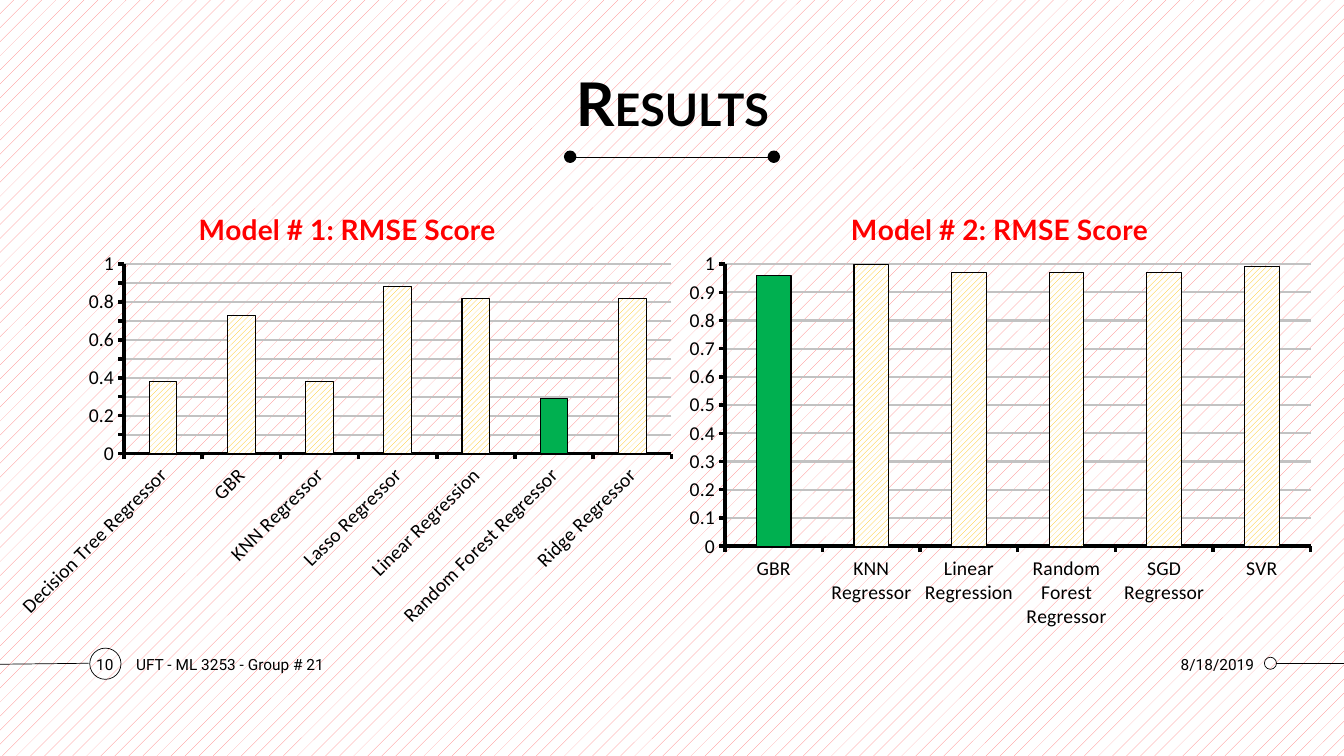
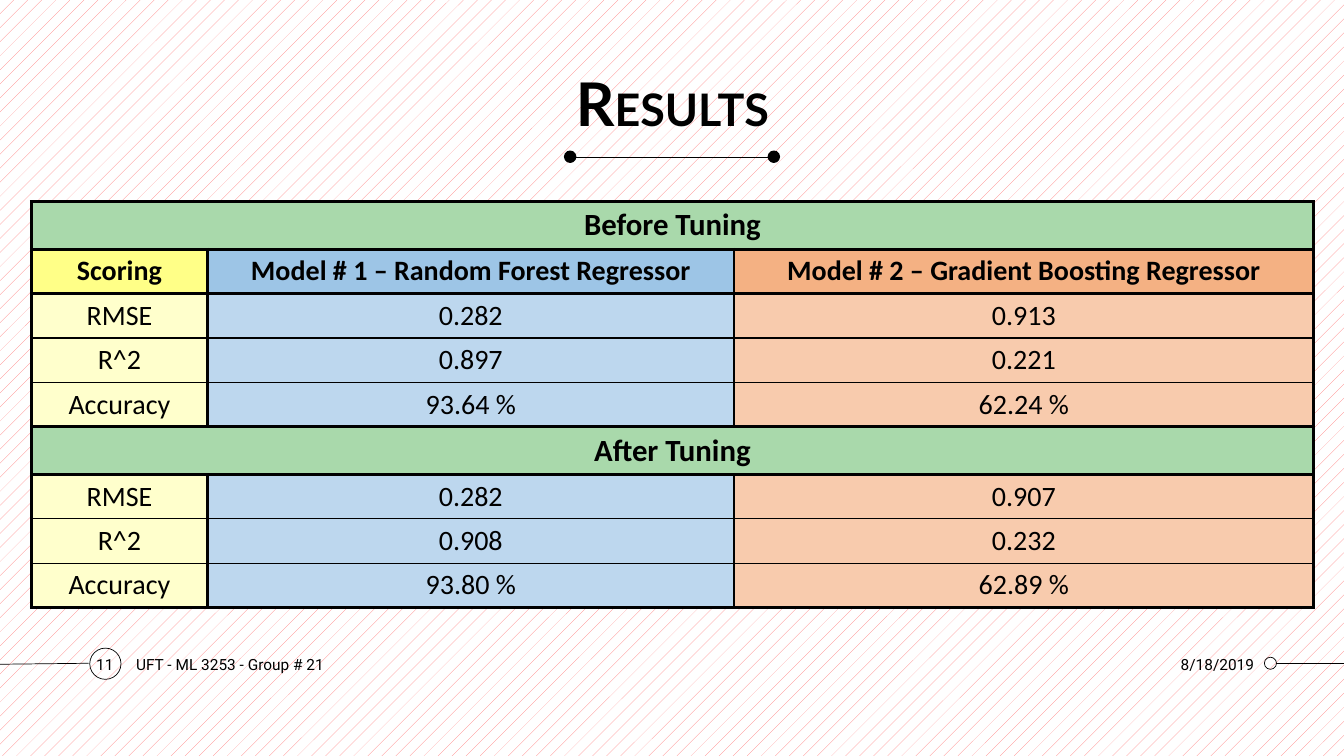
from copy import deepcopy
from dataclasses import dataclass

from lxml import etree
from pptx import Presentation
from pptx.chart.data import CategoryChartData
from pptx.dml.color import RGBColor
from pptx.enum import chart as charts, dml, shapes, text
from pptx.oxml import ns
from pptx.util import Inches, Pt


@dataclass(frozen=True)
class Theme:
    ink: str = "000000"
    paper: str = "FFFFFF"
    hatch: str = "FF7979"
    heading: str = "FF0000"
    grid: str = "C2C2C2"
    bar: str = "FFC000"
    best: str = "00B050"
    band: str = "A9D9AB"
    head_fills: tuple = ("FFFF87", "9DC5E6", "F4B183")
    body_fills: tuple = ("FFFFCC", "BDD7EE", "F8CBAD")
    title_font: str = "Lato"
    body_font: str = "Calibri"
    footer_font: str = "Roboto"
    title_cap: int = 43
    title_size: int = 32
    chart_title: int = 20
    axis_size: int = 14
    band_size: int = 22
    cell_size: int = 20
    footer_size: int = 11
    thick: float = 2.25
    thin: float = 1


THEME = Theme()
ALIGN = text.PP_ALIGN
HOLDER = shapes.PP_PLACEHOLDER

TITLE = [("R", THEME.title_cap), ("ESULTS", THEME.title_size)]
TITLE_BOX = (4.23, 0.62, 4.88, 0.76)
FIRST_NUMBER = 10
FOOTERS = {
    HOLDER.DATE: ("8/18/2019", (9.54, 6.39, 3, 0.4), ALIGN.RIGHT),
    HOLDER.FOOTER: ("UFT - ML 3253 - Group # 21", (1.25, 6.39, 4.5, 0.4), ALIGN.LEFT),
    HOLDER.SLIDE_NUMBER: (None, (0.83, 6.39, 0.42, 0.4), ALIGN.CENTER),
}
RULES = [(12.66, 6.58, 13.33, 6.58), (0, 6.59, 0.88, 6.58), (5.6, 1.56, 7.67, 1.56)]
RINGS = [(0.89, 6.43, 0.31), (12.54, 6.52, 0.12)]
DOTS = [(7.62, 1.5, 0.11), (5.6, 1.5, 0.11)]

CHARTS = [
    dict(
        title="Model # 1: RMSE Score", title_at=(1.92, 2.02),
        box=(0.04, 1.82, 6.75, 4.5), plot=(1.23, 2.62, 5.43, 1.88),
        best="Random Forest Regressor", turn=-45,
        scores={
            "Decision Tree Regressor": 0.38, "GBR": 0.73, "KNN Regressor": 0.38,
            "Lasso Regressor": 0.88, "Linear Regression": 0.82,
            "Random Forest Regressor": 0.29, "Ridge Regressor": 0.82,
        },
    ),
    dict(
        title="Model # 2: RMSE Score", title_at=(8.39, 2.02),
        box=(6.72, 1.82, 6.4, 4.5), plot=(7.19, 2.62, 5.81, 2.8),
        best="GBR", turn=0,
        scores={
            "GBR": 0.96, "KNN Regressor": 1.01, "Linear Regression": 0.97,
            "Random Forest Regressor": 0.97, "SGD Regressor": 0.97, "SVR": 0.99,
        },
    ),
]

TABLE_AT = (0.31, 2)
COLUMNS = (1.75, 5.22, 5.75)
ROW_HEIGHT = 0.41
ROWS = [
    ("Before Tuning",),
    ("Scoring", "Model # 1 – Random Forest Regressor", "Model # 2 – Gradient Boosting Regressor"),
    ("RMSE", "0.282", "0.913"),
    ("R^2", "0.897", "0.221"),
    ("Accuracy", "93.64 %", "62.24 %"),
    ("After Tuning",),
    ("RMSE", "0.282", "0.907"),
    ("R^2", "0.908", "0.232"),
    ("Accuracy", "93.80 %", "62.89 %"),
]


def color(code):
    return RGBColor.from_string(code)


def inches(values):
    return [Inches(value) for value in values]


def place(shape, box):
    shape.left, shape.top, shape.width, shape.height = inches(box)


def write(frame, spans, size=None, font=THEME.body_font, ink=THEME.ink, bold=False,
          align=ALIGN.CENTER, anchor=None, spacing=None):
    frame.clear()
    para = frame.paragraphs[0]
    para.alignment = align
    if spacing:
        para.line_spacing = spacing
    if anchor is not None:
        frame.vertical_anchor = anchor
    for words, points in [(spans, size)] if isinstance(spans, str) else spans:
        span = para.add_run()
        span.text = words
        style(span.font, points, font, ink, bold)


def style(font, size, name, ink=THEME.ink, bold=False):
    font.size, font.name, font.bold = Pt(size), name, bold
    font.color.rgb = color(ink)


def stroke(line, code=THEME.ink, width=0.5):
    line.color.rgb = color(code)
    line.width = Pt(width)


def hatch(fill, pattern, ink):
    fill.patterned()
    fill.pattern = pattern
    fill.fore_color.rgb = color(ink)
    fill.back_color.rgb = color(THEME.paper)


def add_circle(page, left, top, size, filled):
    circle = page.shapes.add_shape(shapes.MSO_SHAPE.OVAL, *inches((left, top, size, size)))
    circle.shadow.inherit = False
    if filled:
        circle.fill.solid()
        circle.fill.fore_color.rgb = color(THEME.ink)
    else:
        circle.fill.background()
    stroke(circle.line, width=1 if filled else 0.5)
    return circle


def add_rule(page, ends):
    rule = page.shapes.add_connector(shapes.MSO_CONNECTOR.STRAIGHT, *inches(ends))
    stroke(rule.line)
    etree.SubElement(rule._element.spPr, ns.qn("a:effectLst"))
    return rule


def decorate(layout, page):
    marks = [add_rule(page, ends) for ends in RULES]
    marks += [add_circle(page, *ring, filled=False) for ring in RINGS]
    marks += [add_circle(page, *dot, filled=True) for dot in DOTS]
    for number, mark in enumerate(marks, 100):
        mark._element.xpath(".//p:cNvPr")[0].set("id", str(number))
        layout.shapes._spTree.append(mark._element)


def prepare(deck):
    layout = deck.slide_layouts.get_by_name("Title Only")
    hatch(deck.slide_master.background.fill, dml.MSO_PATTERN.PERCENT_5, THEME.hatch)
    for holder in layout.placeholders:
        kind = holder.placeholder_format.type
        place(holder, FOOTERS[kind][1] if kind in FOOTERS else TITLE_BOX)
    return layout


def add_page(deck, layout, number):
    page = deck.slides.add_slide(layout)
    frame = page.shapes.title.text_frame
    frame.margin_left = frame.margin_top = frame.margin_right = frame.margin_bottom = 0
    frame.auto_size = text.MSO_AUTO_SIZE.NONE
    write(frame, TITLE, font=THEME.title_font, bold=True,
          anchor=text.MSO_ANCHOR.BOTTOM, spacing=0.9)
    for holder in layout.placeholders:
        kind = holder.placeholder_format.type
        if kind in FOOTERS:
            words, _, align = FOOTERS[kind]
            page.shapes._spTree.append(deepcopy(holder._element))
            footer = list(page.shapes)[-1]
            write(footer.text_frame, words or str(number), THEME.footer_size,
                  THEME.footer_font, align=align, anchor=text.MSO_ANCHOR.MIDDLE)
    return page


def set_layout(owner, index, **parts):
    for old in owner.findall(ns.qn("c:layout")):
        owner.remove(old)
    layout = etree.Element(ns.qn("c:layout"))
    manual = etree.SubElement(layout, ns.qn("c:manualLayout"))
    for name, value in parts.items():
        value = value if isinstance(value, str) else f"{value:.4f}"
        etree.SubElement(manual, ns.qn(f"c:{name}")).set("val", value)
    owner.insert(index, layout)


def add_score_chart(page, title, title_at, box, plot, best, turn, scores):
    data = CategoryChartData()
    data.categories = list(scores)
    data.add_series("Series 1", list(scores.values()))
    chart = page.shapes.add_chart(
        charts.XL_CHART_TYPE.COLUMN_CLUSTERED, *inches(box), data).chart
    style(chart.font, THEME.axis_size, THEME.body_font)
    chart.has_legend = False
    chart.has_title = True
    write(chart.chart_title.text_frame, title, THEME.chart_title, THEME.title_font,
          THEME.heading, bold=True)

    left, top, width, height = box
    set_layout(chart.chart_title._element, 1, xMode="edge", yMode="edge",
               x=(title_at[0] - left) / width, y=(title_at[1] - top) / height)
    set_layout(chart._chartSpace.chart.plotArea, 0, layoutTarget="inner",
               xMode="edge", yMode="edge",
               x=(plot[0] - left) / width, y=(plot[1] - top) / height,
               w=plot[2] / width, h=plot[3] / height)

    for axis in (chart.category_axis, chart.value_axis):
        style(axis.tick_labels.font, THEME.axis_size, THEME.body_font)
        stroke(axis.format.line, width=2.5)
        axis.major_tick_mark = charts.XL_TICK_MARK.OUTSIDE
        axis.minor_tick_mark = charts.XL_TICK_MARK.NONE
    turned = chart.category_axis._element.xpath("c:txPr/a:bodyPr")[0]
    turned.set("rot", str(turn * 60000))
    values = chart.value_axis
    values.minimum_scale, values.maximum_scale, values.major_unit = 0, 1, 0.1
    values.has_major_gridlines = True
    stroke(values.major_gridlines.format.line, THEME.grid, 1.5)

    bars = chart.plots[0]
    bars.gap_width = 182
    bars.vary_by_categories = False
    series = bars.series[0]
    series.invert_if_negative = False
    hatch(series.format.fill, dml.MSO_PATTERN.WIDE_UPWARD_DIAGONAL, THEME.bar)
    stroke(series.format.line, width=0.75)
    winner = series.points[list(scores).index(best)].format
    winner.fill.solid()
    winner.fill.fore_color.rgb = color(THEME.best)
    stroke(winner.line, width=0.75)


def set_borders(cell, top, bottom):
    props = cell._tc.get_or_add_tcPr()
    widths = dict(lnL=THEME.thick, lnR=THEME.thick, lnT=top, lnB=bottom)
    for index, (side, width) in enumerate(widths.items()):
        line = etree.Element(ns.qn(f"a:{side}"), w=str(Pt(width)))
        fill = etree.SubElement(line, ns.qn("a:solidFill"))
        etree.SubElement(fill, ns.qn("a:srgbClr")).set("val", THEME.ink)
        props.insert(index, line)


def add_score_table(page):
    size = (sum(COLUMNS), ROW_HEIGHT * len(ROWS))
    table = page.shapes.add_table(
        len(ROWS), len(COLUMNS), *inches(TABLE_AT + size)).table
    table.first_row = table.horz_banding = False
    for column, width in zip(table.columns, COLUMNS):
        column.width = Inches(width)
    for index, row in enumerate(ROWS):
        band, heads = len(row) == 1, row[0] == "Scoring"
        fills = [THEME.band] * 3 if band else THEME.head_fills if heads else THEME.body_fills
        top = THEME.thick if band or heads or row[0] == "RMSE" else THEME.thin
        bottom = THEME.thick if band or heads or row[0] == "Accuracy" else THEME.thin
        for column, fill in enumerate(fills):
            cell = table.cell(index, column)
            cell.fill.solid()
            cell.fill.fore_color.rgb = color(fill)
            set_borders(cell, top, bottom)
            if column < len(row):
                cell.vertical_anchor = text.MSO_ANCHOR.MIDDLE
                write(cell.text_frame, row[column],
                      THEME.band_size if band else THEME.cell_size, bold=band or heads)
        if band:
            table.cell(index, 0).merge(table.cell(index, len(COLUMNS) - 1))


def main():
    deck = Presentation()
    deck.slide_width, deck.slide_height = inches((13.33, 7.5))
    layout = prepare(deck)
    chart_page, table_page = [add_page(deck, layout, FIRST_NUMBER + step) for step in range(2)]
    decorate(layout, chart_page)
    for chart in CHARTS:
        add_score_chart(chart_page, **chart)
    add_score_table(table_page)
    deck.save("out.pptx")


if __name__ == "__main__":
    main()
